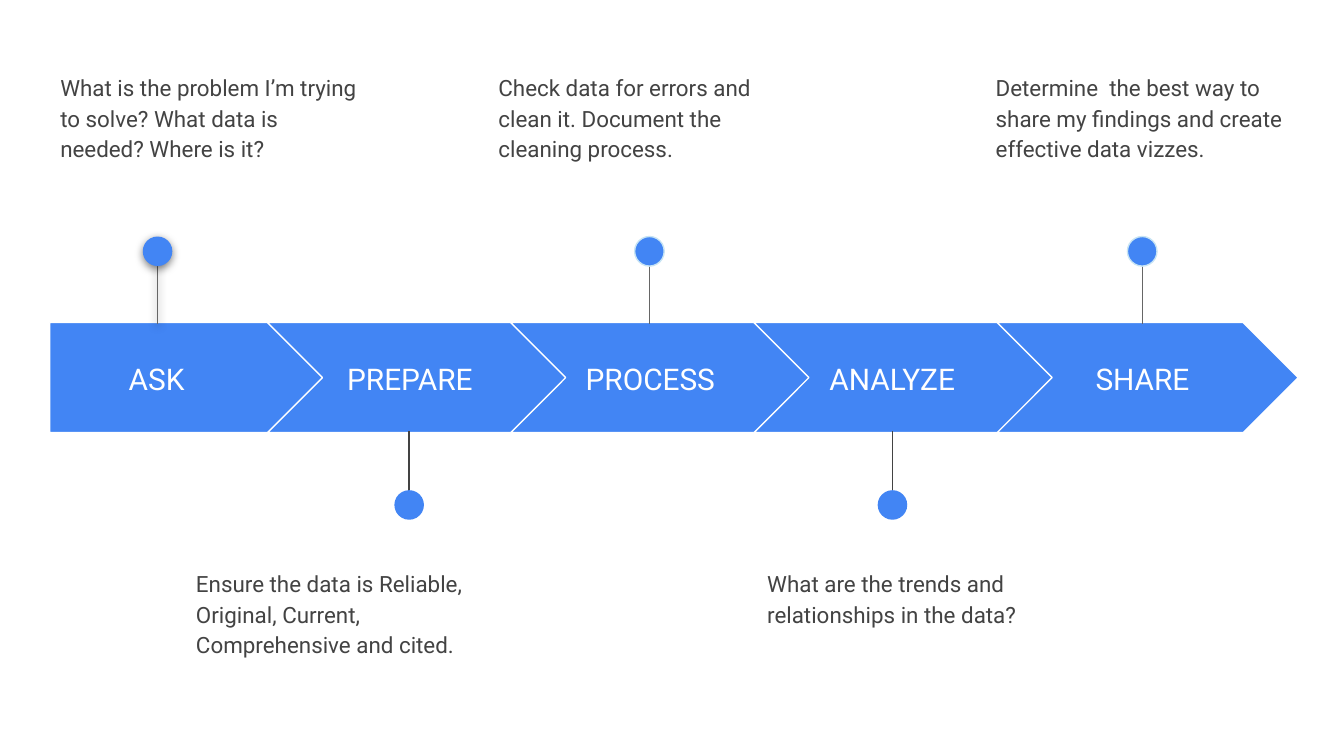
from lxml.etree import SubElement
from pptx import Presentation
from pptx.dml.color import RGBColor
from pptx.enum.shapes import MSO_CONNECTOR, MSO_SHAPE
from pptx.enum.text import MSO_ANCHOR, PP_ALIGN
from pptx.oxml.ns import qn
from pptx.util import Pt

BLUE, WHITE, DARK, GRAY, PALE = "4285F4", "FFFFFF", "434343", "666666", "C7E4F4"
BAR_TOP, BAR_HIGH = 172.8, 59
DOT = 15.84

# name, label left, label width, pin centre, note left, note
STEPS = [
    ("ASK", 26.64, 114.5, 84.4, 25.2,
     "What is the problem I’m trying to solve? What data is needed? Where is it?"),
    ("PREPARE", 167.8, 103.7, 219.2, 97.9,
     "Ensure the data is Reliable, Original, Current, Comprehensive and cited."),
    ("PROCESS", 296.6, 103.7, 347.9, 259.9,
     "Check data for errors and clean it. Document the cleaning process."),
    ("ANALYZE", 426.2, 103.7, 478.1, 403.9,
     "What are the trends and relationships in the data?"),
    ("SHARE", 560.2, 103.7, 611.9, 526.3,
     "Determine  the best way to share my findings and create effective data vizzes."),
]

INSET = {f"margin_{side}": Pt(7.2) for side in ("left", "top", "right", "bottom")}
LABEL = {
    "frame": {**INSET, "word_wrap": True, "vertical_anchor": MSO_ANCHOR.MIDDLE},
    "para": {"alignment": PP_ALIGN.CENTER},
    "font": {"name": "Roboto", "size": Pt(16)},
    "color": WHITE,
}
NOTE = {
    "frame": {**INSET, "word_wrap": True, "vertical_anchor": MSO_ANCHOR.TOP},
    "para": {"line_spacing": 1.15, "space_after": Pt(16)},
    "font": {"name": "Roboto", "size": Pt(12)},
    "color": DARK,
}


def rgb(code):
    """Turn a hex string into a colour."""
    return RGBColor.from_string(code)


def apply(item, values):
    """Set each attribute named in a dict."""
    for name, value in values.items():
        setattr(item, name, value)


def box(*sizes):
    """Turn lengths in points into Pt values."""
    return [Pt(size) for size in sizes]


def add_text(slide, text, place, style):
    """Add a text box in a given style."""
    frame = slide.shapes.add_textbox(*box(*place)).text_frame
    para = frame.paragraphs[0]
    run = para.add_run()
    run.text = text
    apply(frame, style["frame"])
    apply(para, style["para"])
    apply(run.font, style["font"])
    run.font.color.rgb = rgb(style["color"])


def add_form(shapes, kind, place, edge=None):
    """Add a blue preset shape with an optional outline."""
    form = shapes.add_shape(kind, *box(*place))
    form.shadow.inherit = False
    form.fill.solid()
    form.fill.fore_color.rgb = rgb(BLUE)
    if edge:
        form.line.color.rgb = rgb(edge)
        form.line.width = Pt(0.75)
    else:
        form.line.fill.background()
    return form


def add_stem(shapes, x, start, end, color):
    """Add an upright line with no theme shadow."""
    stem = shapes.add_connector(MSO_CONNECTOR.STRAIGHT, *box(x, start, x, end))
    stem.line.color.rgb = rgb(color)
    stem.line.width = Pt(0.75)
    SubElement(stem._element.spPr, qn("a:effectLst"))
    return stem


def add_glow(form):
    """Put a soft dark shadow below a shape."""
    effects = form._element.spPr.find(qn("a:effectLst"))
    shade = SubElement(effects, qn("a:outerShdw"), blurRad=str(Pt(4.5)),
                       dist=str(Pt(1.5)), dir="5400000", algn="bl", rotWithShape="0")
    color = SubElement(shade, qn("a:srgbClr"), val="000000")
    SubElement(color, qn("a:alpha"), val="50000")


def add_pin(slide, x, above, edge=None, glow=False):
    """Add a grouped stem and dot above or below the bar."""
    shapes = slide.shapes.add_group_shape().shapes
    start, end, color, top = ((129.6, 173.5, GRAY, 126.7) if above
                              else (275, 231.1, DARK, 262.6))
    stem = add_stem(shapes, x, start, end, color)
    dot = add_form(shapes, MSO_SHAPE.OVAL, (x - DOT / 2, top, DOT, DOT), edge)
    if glow:
        add_glow(stem)
        add_glow(dot)


def add_step(slide, index, step):
    """Add one arrow with its label, pin and note."""
    name, left, width, x, note_left, note = step
    first, above = index == 0, index % 2 == 0
    if first:
        kind, place = MSO_SHAPE.PENTAGON, (26.64, BAR_TOP, 147.6, BAR_HIGH)
    else:
        kind = MSO_SHAPE.CHEVRON
        place = (143.3 + 130.3 * (index - 1), BAR_TOP, 161.3, BAR_HIGH)
    arrow = add_form(slide.shapes, kind, place, WHITE)
    arrow.adjustments[0] = 0.5
    add_text(slide, name, (left, 184.3, width, 36.7), LABEL)
    add_pin(slide, x, above, PALE if above and not first else None, first)
    add_text(slide, note, (note_left, 30.2 if above else 295.9, 176.4, 71.3), NOTE)


def main():
    """Build the slide and save it."""
    deck = Presentation()
    apply(deck, {"slide_width": Pt(720), "slide_height": Pt(405)})
    slide = deck.slides.add_slide(deck.slide_layouts[6])
    for index, step in enumerate(STEPS):
        add_step(slide, index, step)
    deck.save("out.pptx")


main()
